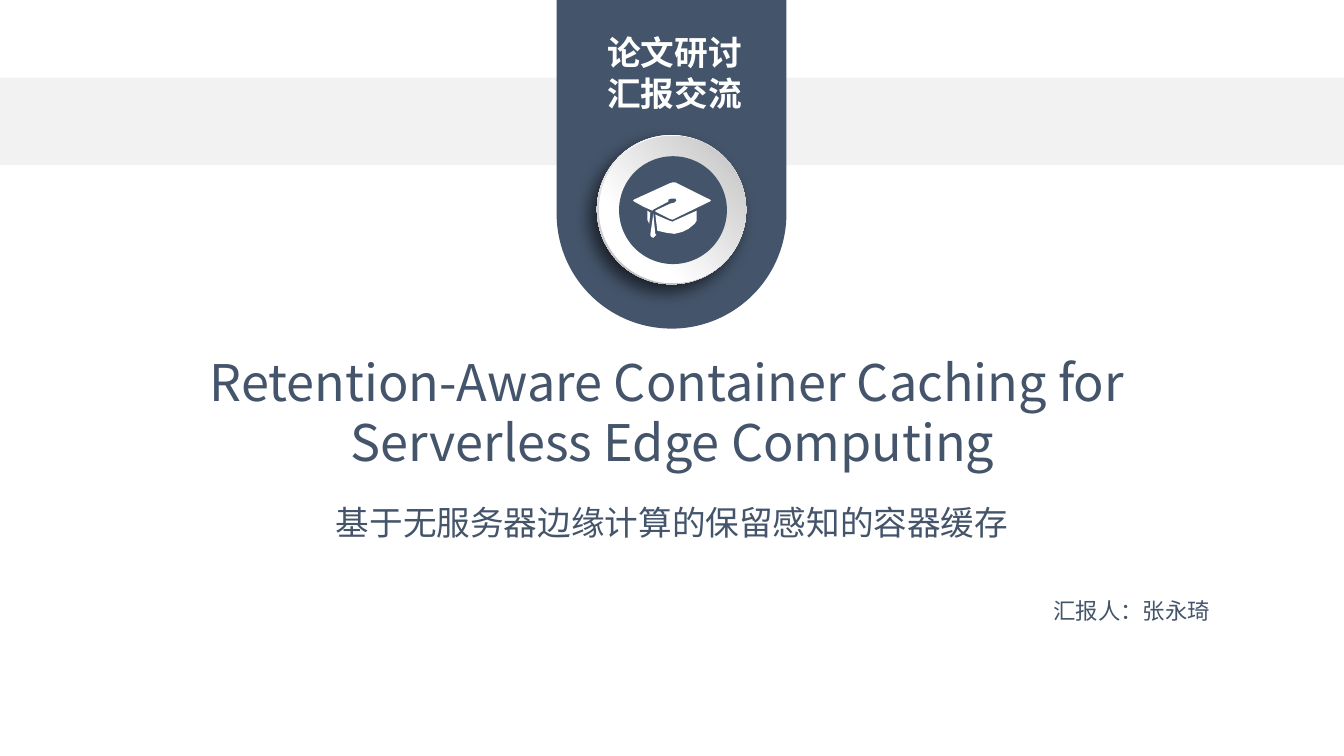
from lxml import etree
from pptx import Presentation
from pptx.dml.color import RGBColor
from pptx.enum import shapes, text
from pptx.oxml import ns
from pptx.util import Inches, Pt

NAVY, WHITE, BAND = "44546A", "FFFFFF", "F2F2F2"

CAP_BOARD = [
    (6.64, 1.82), (6.67, 1.81), (6.7, 1.81), (7.04, 1.98), (7.05, 1.99),
    (7.04, 2), (6.69, 2.17), (6.67, 2.18), (6.64, 2.17), (6.52, 2.11),
    (6.5, 2.1), (6.5, 2.09), (6.65, 2.02), (6.69, 2.01), (6.71, 1.99),
    (6.7, 1.97), (6.66, 1.97), (6.63, 1.98), (6.63, 2), (6.48, 2.08),
    (6.47, 2.09), (6.38, 2.05), (6.29, 2), (6.28, 1.99), (6.29, 1.98),
]
CAP_SIDE = [(6.42, 2.09), (6.45, 2.11), (6.44, 2.22), (6.42, 2.18)]
CAP_CROWN = [
    (6.69, 2.19), (6.91, 2.09), (6.91, 2.19), (6.89, 2.22), (6.83, 2.27),
    (6.77, 2.3), (6.69, 2.32), (6.61, 2.31), (6.52, 2.29), (6.5, 2.13),
    (6.64, 2.19), (6.67, 2.2),
]
CAP_TASSEL = [
    (6.45, 2.33), (6.48, 2.12), (6.5, 2.32), (6.51, 2.33), (6.49, 2.35),
    (6.48, 2.36), (6.46, 2.35),
]


def rgb(value):
    return RGBColor.from_string(value)


def write(tf, *lines, size=16, color=NAVY, bold=False, font="Noto Sans CJK SC"):
    """Fill a text frame with centred paragraphs, one per line."""
    tf.word_wrap = True
    tf.auto_size = text.MSO_AUTO_SIZE.NONE
    tf.vertical_anchor = text.MSO_ANCHOR.TOP
    for i, line in enumerate(lines):
        p = tf.add_paragraph() if i else tf.paragraphs[0]
        p.alignment = text.PP_ALIGN.CENTER
        r = p.add_run()
        r.text = line
        r.font.name, r.font.size, r.font.bold = font, Pt(size), bold
        r.font.color.rgb = rgb(color)
        ea = etree.SubElement(r._r.get_or_add_rPr(), ns.qn("a:ea"))
        ea.set("typeface", font)


class Cover:
    """Holds the presentation and draws on its single slide."""

    def __init__(self):
        self.prs = Presentation()
        self.prs.slide_width, self.prs.slide_height = Inches(13.33), Inches(7.5)
        self.s = self.prs.slides.add_slide(self.prs.slide_layouts[5])

    def title(self, box, *lines, **style):
        sp = self.s.shapes.title
        sp.left, sp.top, sp.width, sp.height = map(Inches, box)
        write(sp.text_frame, *lines, **style)

    def label(self, box, line, **style):
        sp = self.s.shapes.add_textbox(*map(Inches, box))
        write(sp.text_frame, line, **style)

    def plain(self, sp, color):
        sp.shadow.inherit = False
        sp.line.fill.background()
        sp.fill.solid()
        sp.fill.fore_color.rgb = rgb(color)
        return sp

    def shape(self, kind, box, color):
        return self.plain(self.s.shapes.add_shape(kind, *map(Inches, box)), color)

    def disc(self, x, y, diameter, color=NAVY):
        return self.shape(shapes.MSO_SHAPE.OVAL, (x, y, diameter, diameter), color)

    def gradient_disc(self, x, y, diameter, stops, rotation):
        sp = self.disc(x, y, diameter)
        sp.rotation = rotation
        sp.fill.gradient()
        sp.fill.gradient_angle = 315
        for stop, (position, color) in zip(sp.fill.gradient_stops, stops):
            stop.position = position
            stop.color.rgb = rgb(color)
        return sp

    def cast_shadow(self, sp, alpha, blur, distance, angle):
        effects = sp._element.spPr.find(ns.qn("a:effectLst"))
        shadow = etree.SubElement(
            effects, ns.qn("a:outerShdw"), blurRad=str(Pt(blur)),
            dist=str(Pt(distance)), dir=str(angle * 60000), algn="ctr", rotWithShape="0")
        color = etree.SubElement(shadow, ns.qn("a:srgbClr"), val="000000")
        etree.SubElement(color, ns.qn("a:alpha"), val=str(alpha * 1000))

    def outline(self, points, color=WHITE):
        start, *rest = [(Inches(x), Inches(y)) for x, y in points]
        builder = self.s.shapes.build_freeform(*start)
        builder.add_line_segments(rest, close=True)
        self.plain(builder.convert_to_shape(), color)


def main():
    cover = Cover()
    cover.shape(shapes.MSO_SHAPE.RECTANGLE, (0, 0.77, 13.33, 0.87), BAND)
    ribbon = cover.shape(
        shapes.MSO_SHAPE.ROUND_2_SAME_RECTANGLE, (5.52, 0, 2.28, 3.26), NAVY)
    ribbon.rotation = 180
    ribbon.adjustments[0] = 0.5

    cover.title((1.22, 3.43, 10.9, 1.31), "Retention-Aware Container Caching for ",
                "Serverless Edge Computing", size=36)
    cover.label((1.64, 4.93, 10.05, 0.5), "基于无服务器边缘计算的保留感知的容器缓存", size=24)
    cover.label((10.34, 5.87, 1.77, 0.37), "汇报人：张永琦")

    rim = cover.gradient_disc(5.92, 1.34, 1.48, [(0.17, WHITE), (0.88, "B8B8B8")], 62.3)
    cover.cast_shadow(rim, alpha=60, blur=12, distance=7, angle=130)
    cover.gradient_disc(5.94, 1.35, 1.46, [(0.29, WHITE), (0.98, "BFBFBF")], 273)
    cover.disc(6.14, 1.55, 1.07)
    for part in (CAP_BOARD, CAP_SIDE, CAP_CROWN, CAP_TASSEL):
        cover.outline(part)

    cover.label((5.86, 0.27, 1.66, 0.91), "论文研讨汇报交流",
                size=24, color=WHITE, bold=True)
    cover.prs.save("out.pptx")


if __name__ == "__main__":
    main()
